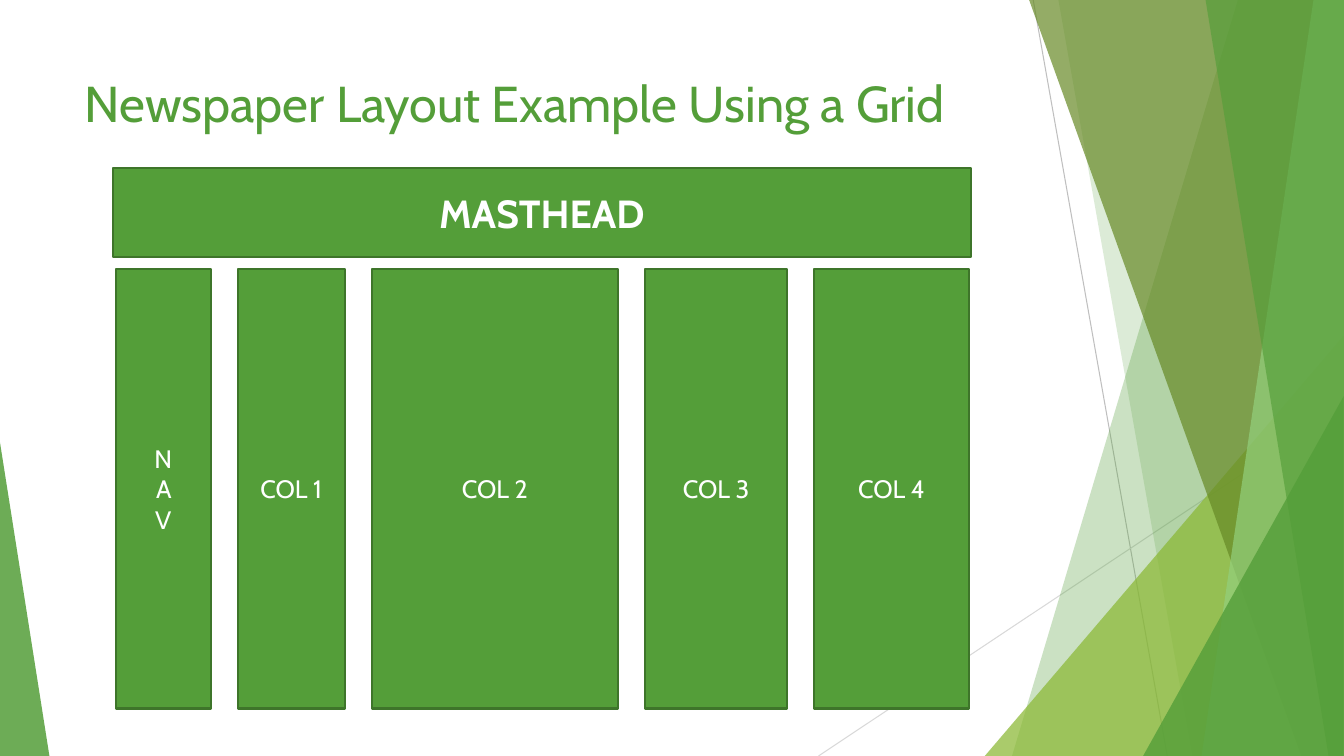
from dataclasses import dataclass

from pptx import Presentation
from pptx.dml.color import RGBColor
from pptx.enum.shapes import MSO_CONNECTOR, MSO_SHAPE
from pptx.enum.text import MSO_ANCHOR, PP_ALIGN
from pptx.oxml.ns import qn
from pptx.oxml.xmlchemy import OxmlElement
from pptx.util import Inches, Pt

STRAIGHT = MSO_CONNECTOR.STRAIGHT
RECTANGLE = MSO_SHAPE.RECTANGLE
TRIANGLE = MSO_SHAPE.ISOSCELES_TRIANGLE
MIDDLE, TOP = MSO_ANCHOR.MIDDLE, MSO_ANCHOR.TOP
CENTER, LEFT = PP_ALIGN.CENTER, PP_ALIGN.LEFT

GREEN = RGBColor(0x54, 0x9E, 0x39)
DARK_GREEN = RGBColor(0x3E, 0x75, 0x2A)
LIGHT_GREEN = RGBColor(0x93, 0xD0, 0x7D)
LIME = RGBColor(0x8A, 0xB8, 0x33)
OLIVE = RGBColor(0x67, 0x8A, 0x26)
GRAY = RGBColor(0xBF, 0xBF, 0xBF)
PALE_GRAY = RGBColor(0xD9, 0xD9, 0xD9)
WHITE = RGBColor(0xFF, 0xFF, 0xFF)
FONT = "Cabin"

# The slide is a grid of tenth-inch cells.
COLS, ROWS = 133.33, 75
GUTTER = 2.7
COLUMN_LEFT, COLUMN_TOP, COLUMN_HEIGHT = 11.5, 26.7, 43.6


@dataclass(frozen=True)
class Ray:
    start: tuple[float, float]
    end: tuple[float, float]
    color: RGBColor


@dataclass(frozen=True)
class Facet:
    """A full-height panel whose slanted left edge runs from top to bottom."""
    top: float
    bottom: float
    color: RGBColor
    opacity: int


@dataclass(frozen=True)
class Corner:
    """A right triangle in a bottom corner; apex 0 is left, 1 is right."""
    left: float
    top: float
    width: float
    apex: int
    color: RGBColor
    opacity: int


@dataclass(frozen=True)
class Column:
    label: str
    width: float
    stacked: bool = False


RAYS = [
    Ray((102.5, 0), (115.8, ROWS), GRAY),
    Ray((COLS, 40.3), (81.2, ROWS), PALE_GRAY),
]
LAYERS = [
    Facet(122.8, 100.4, GREEN, 30),
    Facet(105, 118.3, GREEN, 20),
    Corner(97.7, 33.3, 35.6, 1, LIME, 72),
    Facet(102.1, 129.1, OLIVE, 70),
    Facet(130.3, 119.2, LIGHT_GREEN, 70),
    Facet(119.6, 131.8, GREEN, 65),
    Corner(113.4, 39.3, 19.9, 1, GREEN, 80),
    Corner(0, 43.9, 4.9, 0, GREEN, 85),
]
COLUMNS = [
    Column("NAV", 9.4, stacked=True),
    Column("COL 1", 10.6),
    Column("COL 2", 24.4),
    Column("COL 3", 14.1),
    Column("COL 4", 15.3),
]


def cells(count: float) -> int:
    return Inches(count / 10)


def draw_ray(slide, ray: Ray) -> None:
    line = slide.shapes.add_connector(
        STRAIGHT, *map(cells, ray.start), *map(cells, ray.end))
    line.line.color.rgb = ray.color
    line.line.width = Pt(0.75)
    line.element.spPr.append(OxmlElement("a:effectLst"))


def draw_layer(slide, layer: Facet | Corner) -> None:
    if isinstance(layer, Facet):
        outline = slide.shapes.build_freeform(cells(layer.top), 0)
        points = [(COLS, 0), (COLS, ROWS), (layer.bottom, ROWS)]
        outline.add_line_segments([(cells(x), cells(y)) for x, y in points])
        sp = outline.convert_to_shape()
    else:
        sp = slide.shapes.add_shape(
            TRIANGLE, cells(layer.left), cells(layer.top),
            cells(layer.width), cells(ROWS - layer.top))
        sp.adjustments[0] = layer.apex
    sp.shadow.inherit = False
    sp.line.fill.background()
    sp.fill.solid()
    sp.fill.fore_color.rgb = layer.color
    alpha = OxmlElement("a:alpha")
    alpha.set("val", str(layer.opacity * 1000))
    sp.element.spPr.find(f"{qn('a:solidFill')}/{qn('a:srgbClr')}").append(alpha)


def write(sp, text: str, size: int, color: RGBColor, align: PP_ALIGN,
          anchor: MSO_ANCHOR, bold: bool = False) -> None:
    tf = sp.text_frame
    tf.word_wrap = True
    tf.vertical_anchor = anchor
    tf.text = text
    p = tf.paragraphs[0]
    p.alignment = align
    font = p.runs[0].font
    font.name, font.size, font.bold = FONT, Pt(size), bold
    font.color.rgb = color


def draw_block(slide, label: str, left: float, top: float, width: float,
               height: float, size: int = 18, bold: bool = False):
    sp = slide.shapes.add_shape(RECTANGLE, *map(cells, (left, top, width, height)))
    sp.shadow.inherit = False
    sp.fill.solid()
    sp.fill.fore_color.rgb = GREEN
    sp.line.color.rgb = DARK_GREEN
    sp.line.width = Pt(1.5)
    write(sp, label, size, WHITE, CENTER, MIDDLE, bold)
    return sp


def draw_columns(slide) -> None:
    left = COLUMN_LEFT
    for column in COLUMNS:
        sp = draw_block(slide, column.label, left, COLUMN_TOP,
                        column.width, COLUMN_HEIGHT)
        if column.stacked:
            sp.element.txBody.bodyPr.set("vert", "wordArtVert")
        left += column.width + GUTTER


def main() -> None:
    prs = Presentation()
    prs.slide_width, prs.slide_height = cells(COLS), cells(ROWS)
    slide = prs.slides.add_slide(prs.slide_layouts[6])
    for ray in RAYS:
        draw_ray(slide, ray)
    for layer in LAYERS:
        draw_layer(slide, layer)
    title = slide.shapes.add_textbox(*map(cells, (7.4, 6.7, 94, 14.4)))
    write(title, "Newspaper Layout Example Using a Grid", 36, GREEN, LEFT, TOP)
    draw_block(slide, "MASTHEAD", 11.2, 16.7, 85.1, 8.8, size=28, bold=True)
    draw_columns(slide)
    prs.save("out.pptx")


if __name__ == "__main__":
    main()
